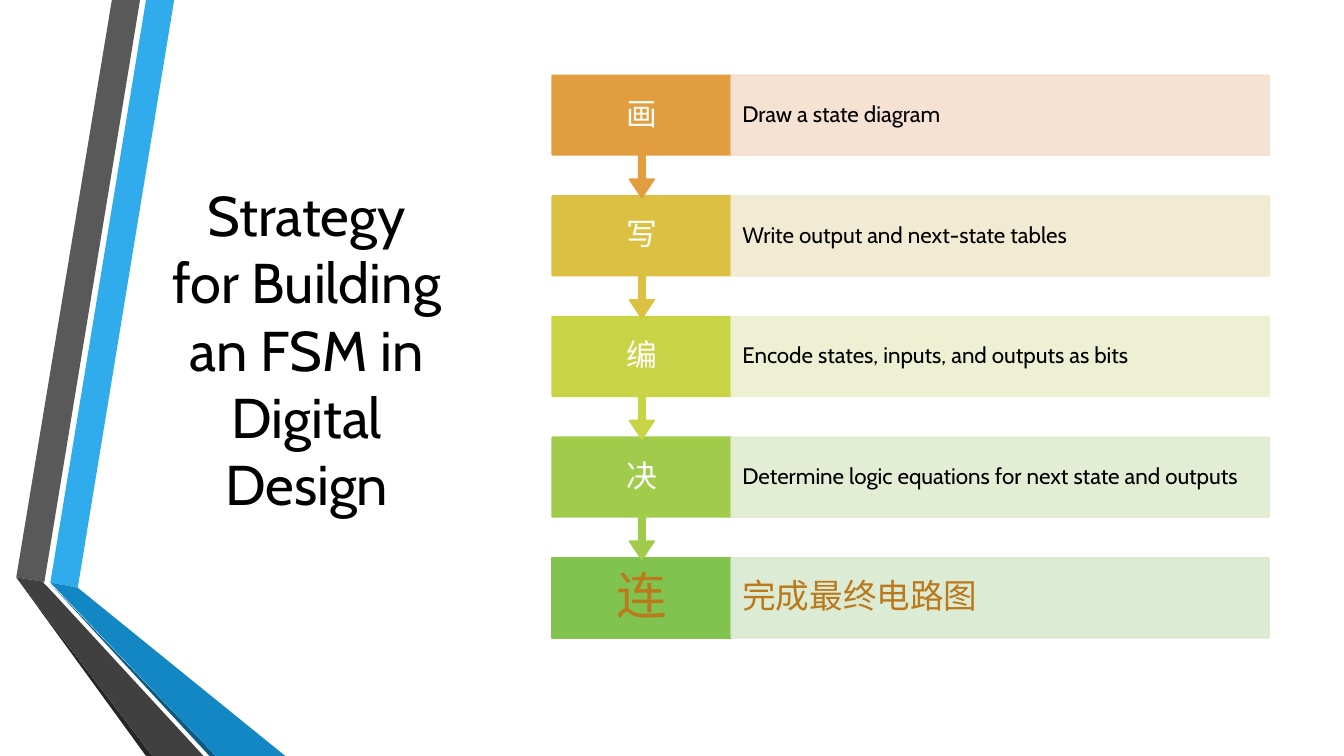
"""Builds the slide on the five-step strategy for designing an FSM."""
import pptx
import pptx.dml.color
import pptx.enum.shapes
import pptx.enum.text
import pptx.oxml.ns
import pptx.util
from lxml import etree

Cm = pptx.util.Cm
Pt = pptx.util.Pt
SHAPE = pptx.enum.shapes.MSO_SHAPE
ALIGN = pptx.enum.text.PP_ALIGN

COLOURS = {
    "black": "000000", "white": "FFFFFF", "brown": "BC791C",
    "sky": "30ACEC", "blue": "1287C3", "navy": "0C5A82",
    "grey": "595959", "charcoal": "404040", "soot": "262626",
    "orange": "E29D3E", "gold": "DBC042", "lime": "C8D346",
    "leaf": "A1CB4A", "green": "80C34F",
    "pale orange": "F4DFCE", "pale gold": "F1E9CF", "pale lime": "EDEFCF",
    "pale leaf": "E1ECD0", "pale green": "D8E9D0",
}


def paint(shape, colour, outlined=True, opacity=None):
    """Fill and outline a shape in one colour."""
    shape.shadow.inherit = False
    formats = [shape.fill]
    if outlined:
        shape.line.width = Pt(1.25)
        formats.append(shape.line.fill)
    else:
        shape.line.fill.background()
    for fill in formats:
        fill.solid()
        fill.fore_color.rgb = pptx.dml.color.RGBColor.from_string(COLOURS[colour])
    if opacity:
        for tone in shape._element.spPr.iter(pptx.oxml.ns.qn("a:srgbClr")):
            alpha = etree.SubElement(tone, pptx.oxml.ns.qn("a:alpha"))
            alpha.set("val", str(opacity * 1000))


def write(box, text, size, colour, align=ALIGN.LEFT, spacing=0.9, inset=0.28):
    """Put one formatted paragraph in the vertical middle of a box."""
    frame = box.text_frame
    frame.word_wrap = True
    frame.vertical_anchor = pptx.enum.text.MSO_ANCHOR.MIDDLE
    frame.margin_left = frame.margin_right = Cm(inset)
    frame.margin_top = frame.margin_bottom = Cm(0.1)
    para = frame.paragraphs[0]
    para.alignment = align
    para.line_spacing = spacing
    span = para.add_run()
    span.text = text
    span.font.name = "Cabin"
    span.font.size = Pt(size)
    span.font.color.rgb = pptx.dml.color.RGBColor.from_string(COLOURS[colour])


deck = pptx.Presentation()
deck.slide_width = Cm(33.87)
deck.slide_height = Cm(19.05)
page = deck.slides.add_slide(deck.slide_layouts[6])
shapes = page.shapes

ribbons = [
    ("sky", [(1.27, 14.68), (1.96, 14.81), (4.39, 0), (3.68, 0)]),
    ("grey", [(3.53, 0), (2.82, 0), (0.41, 14.55), (1.12, 14.66)]),
    ("soot", [(0.41, 14.55), (3.68, 19.05), (3.84, 19.05)]),
    ("navy", [(1.27, 14.71), (5.28, 19.05), (5.44, 19.05)]),
    ("blue", [(1.27, 14.68), (5.44, 19.05), (7.19, 19.05), (1.96, 14.81)]),
    ("charcoal", [(5.13, 19.05), (1.22, 14.81), (1.09, 14.68), (1.12, 14.66),
                  (0.41, 14.55), (3.84, 19.05)]),
]
for colour, corners in ribbons:
    points = [(Cm(x), Cm(y)) for x, y in corners]
    outline = shapes.build_freeform(*points[0])
    outline.add_line_segments(points[1:], close=True)
    paint(outline.convert_to_shape(), colour, outlined=False)

title = shapes.add_textbox(Cm(4.06), Cm(1.7), Cm(7.34), Cm(14.17))
write(title, "Strategy for Building an FSM in Digital Design", 40, "black",
      align=ALIGN.CENTER, spacing=1, inset=0.25)

steps = [
    ("画", "Draw a state diagram", "orange"),
    ("写", "Write output and next-state tables", "gold"),
    ("编", "Encode states, inputs, and outputs as bits", "lime"),
    ("决", "Determine logic equations for next state and outputs", "leaf"),
    ("连", "完成最终电路图", "green"),
]
key_left, key_width = Cm(13.92), Cm(4.51)
bar_left, bar_width = Cm(18.43), Cm(13.55)
row_top, row_pitch, row_height = Cm(1.9), Cm(3.04), Cm(2.01)

for index, (key, sentence, colour) in reversed(list(enumerate(steps))):
    top = row_top + index * row_pitch
    is_last = index == len(steps) - 1
    if is_last:
        block = shapes.add_shape(SHAPE.RECTANGLE, key_left, top, key_width, row_height)
    else:
        block = shapes.add_shape(SHAPE.UP_ARROW_CALLOUT, key_left, top, key_width, Cm(3.08))
        block.rotation = 180
        for position, value in enumerate([0.05, 0.1, 0.15, 0.65]):
            block.adjustments[position] = value
    paint(block, colour)
    label = shapes.add_textbox(key_left, top, key_width, row_height)
    write(label, key, 36 if is_last else 22, "brown" if is_last else "white",
          align=ALIGN.CENTER, inset=0.32)
    bar = shapes.add_shape(SHAPE.RECTANGLE, bar_left, top, bar_width, row_height)
    paint(bar, "pale " + colour, opacity=90)
    write(bar, sentence, 24 if is_last else 16, "brown" if is_last else "black")

deck.save("out.pptx")
